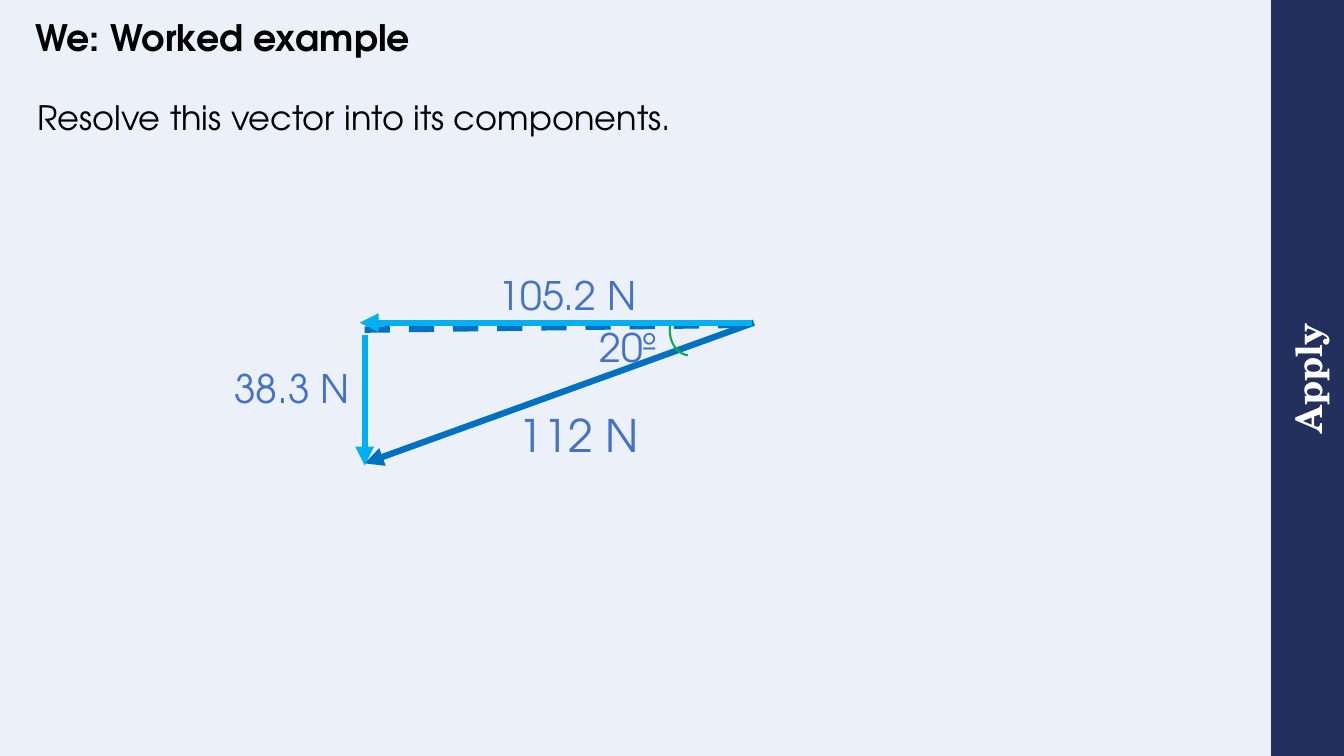
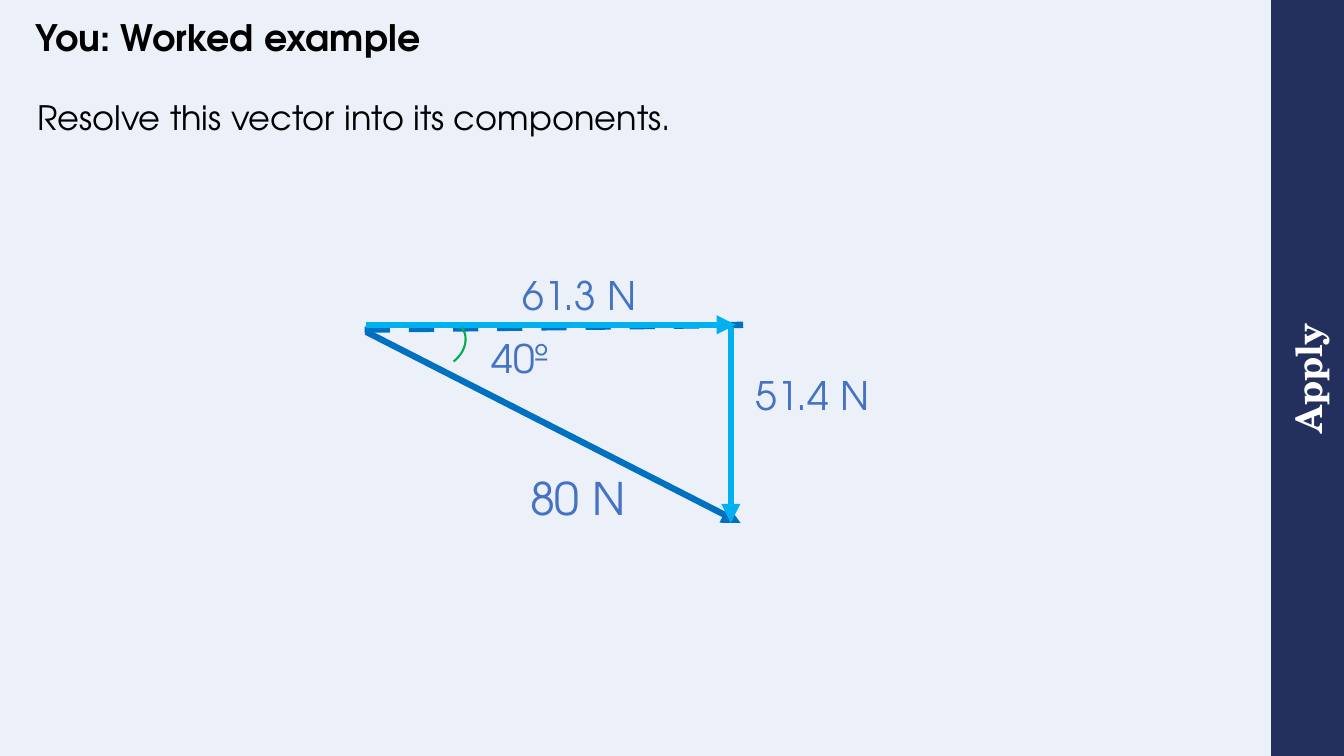
import pptx
import pptx.util
import pptx.dml.color
import pptx.enum.dml
import pptx.enum.shapes
import pptx.enum.text
import pptx.oxml
import pptx.oxml.ns

Pt = pptx.util.Pt
RGBColor = pptx.dml.color.RGBColor
Align = pptx.enum.text.PP_ALIGN
Anchor = pptx.enum.text.MSO_ANCHOR
Shape = pptx.enum.shapes.MSO_SHAPE

PAPER = RGBColor(0xEC, 0xF1, 0xF9)
NAVY = RGBColor(0x23, 0x2F, 0x5D)
WHITE = RGBColor(0xFF, 0xFF, 0xFF)
BLACK = RGBColor(0x00, 0x00, 0x00)
LABEL_BLUE = RGBColor(0x44, 0x72, 0xC4)
VECTOR_BLUE = RGBColor(0x00, 0x70, 0xC0)
COMPONENT_BLUE = RGBColor(0x00, 0xB0, 0xF0)
ANGLE_GREEN = RGBColor(0x00, 0xB0, 0x50)

BODY_FONT = "TeX Gyre Adventor"
BAND_FONT = "TeX Gyre Schola"
PAGE_WIDTH, PAGE_HEIGHT = 960, 540
BAND_WIDTH = 52

# Labels: text, left, top, width, size, alignment
# Lines: start x, start y, end x, end y
EXAMPLES = [
    {
        "title": "We: Worked example",
        "vector": (538.5, 230.5, 260.5, 331),
        "components": [(537, 230.5, 257, 230.5), (260.5, 239, 260.5, 332.5)],
        "angle": (474.5, 219, 97.9),
        "labels": [
            ("38.3 N", 154, 257, 103, 28, Align.RIGHT),
            ("105.2 N", 330.5, 190, 131, 28, Align.RIGHT),
            ("20º", 416, 227.5, 60.5, 28, Align.RIGHT),
            ("112 N", 363.5, 287.5, 134, 32, Align.LEFT),
        ],
    },
    {
        "title": "You: Worked example",
        "vector": (261.5, 237, 529, 373.5),
        "components": [(261.5, 232, 525.5, 232), (522, 233.5, 522, 373.5)],
        "angle": (295, 230.5, 322.2),
        "labels": [
            ("51.4 N", 525, 261.5, 103, 28, Align.RIGHT),
            ("61.3 N", 330.5, 190, 131, 28, Align.RIGHT),
            ("40º", 339, 235.5, 60.5, 28, Align.RIGHT),
            ("80 N", 371.5, 332.5, 134, 32, Align.LEFT),
        ],
    },
]


def add_text(page, text, left, top, width, height, size, color, align=Align.LEFT):
    box = page.shapes.add_textbox(Pt(left), Pt(top), Pt(width), Pt(height))
    box.text_frame.word_wrap = True
    para = box.text_frame.paragraphs[0]
    para.text = text
    para.alignment = align
    para.font.name = BODY_FONT
    para.font.size = Pt(size)
    para.font.color.rgb = color
    return box


def add_line(page, ends, color, arrow=True):
    line = page.shapes.add_connector(
        pptx.enum.shapes.MSO_CONNECTOR.STRAIGHT, *[Pt(value) for value in ends])
    line.line.color.rgb = color
    line.line.width = Pt(4.5)
    if arrow:
        head = pptx.oxml.parse_xml(
            '<a:tailEnd %s type="triangle"/>' % pptx.oxml.ns.nsdecls("a"))
        line.line._get_or_add_ln().append(head)
    else:
        line.line.dash_style = pptx.enum.dml.MSO_LINE.DASH
    line._element.spPr.append(
        pptx.oxml.parse_xml("<a:effectLst %s/>" % pptx.oxml.ns.nsdecls("a")))


deck = pptx.Presentation()
deck.slide_width = Pt(PAGE_WIDTH)
deck.slide_height = Pt(PAGE_HEIGHT)
paper = deck.slide_master.background.fill
paper.solid()
paper.fore_color.rgb = PAPER

for example in EXAMPLES:
    page = deck.slides.add_slide(deck.slide_layouts[6])

    # Side band: a wide bar turned upright against the right edge
    band = page.shapes.add_shape(
        Shape.RECTANGLE,
        Pt(PAGE_WIDTH - (BAND_WIDTH + PAGE_HEIGHT) / 2),
        Pt((PAGE_HEIGHT - BAND_WIDTH) / 2),
        Pt(PAGE_HEIGHT), Pt(BAND_WIDTH))
    band.rotation = 270
    band.shadow.inherit = False
    band.fill.solid()
    band.fill.fore_color.rgb = NAVY
    band.line.fill.background()
    frame = band.text_frame
    frame.margin_left = frame.margin_right = 0
    frame.margin_top = frame.margin_bottom = 0
    frame.vertical_anchor = Anchor.MIDDLE
    para = frame.paragraphs[0]
    para.text = "Apply"
    para.alignment = Align.CENTER
    para.font.name = BAND_FONT
    para.font.size = Pt(26)
    para.font.bold = True
    para.font.color.rgb = WHITE

    # Title and task
    title = add_text(page, example["title"], 18, 0, 836, 57, 26, BLACK)
    title.text_frame.vertical_anchor = Anchor.MIDDLE
    title.text_frame.paragraphs[0].line_spacing = 0.9
    title.text_frame.paragraphs[0].font.bold = True
    add_text(page, "Resolve this vector into its components.",
             19.5, 65.5, 605.5, 36, 24, BLACK)

    # Horizontal guide, vector and its components
    add_line(page, (260.5, 235.5, 533.5, 232), VECTOR_BLUE, arrow=False)
    add_line(page, example["vector"], VECTOR_BLUE)
    for ends in example["components"]:
        add_line(page, ends, COMPONENT_BLUE)

    # Angle mark: a quarter arc from 0 to 90 degrees, then rotated
    left, top, turn = example["angle"]
    arc = page.shapes.add_shape(Shape.ARC, Pt(left), Pt(top), Pt(39), Pt(31))
    arc.adjustments[0] = 0
    arc.adjustments[1] = 54
    arc.rotation = turn
    arc.shadow.inherit = False
    arc.fill.background()
    arc.line.color.rgb = ANGLE_GREEN
    arc.line.width = Pt(1.5)

    # Magnitudes and angle
    for text, left, top, width, size, align in example["labels"]:
        add_text(page, text, left, top, width, size + 13, size, LABEL_BLUE, align)

deck.save("out.pptx")
